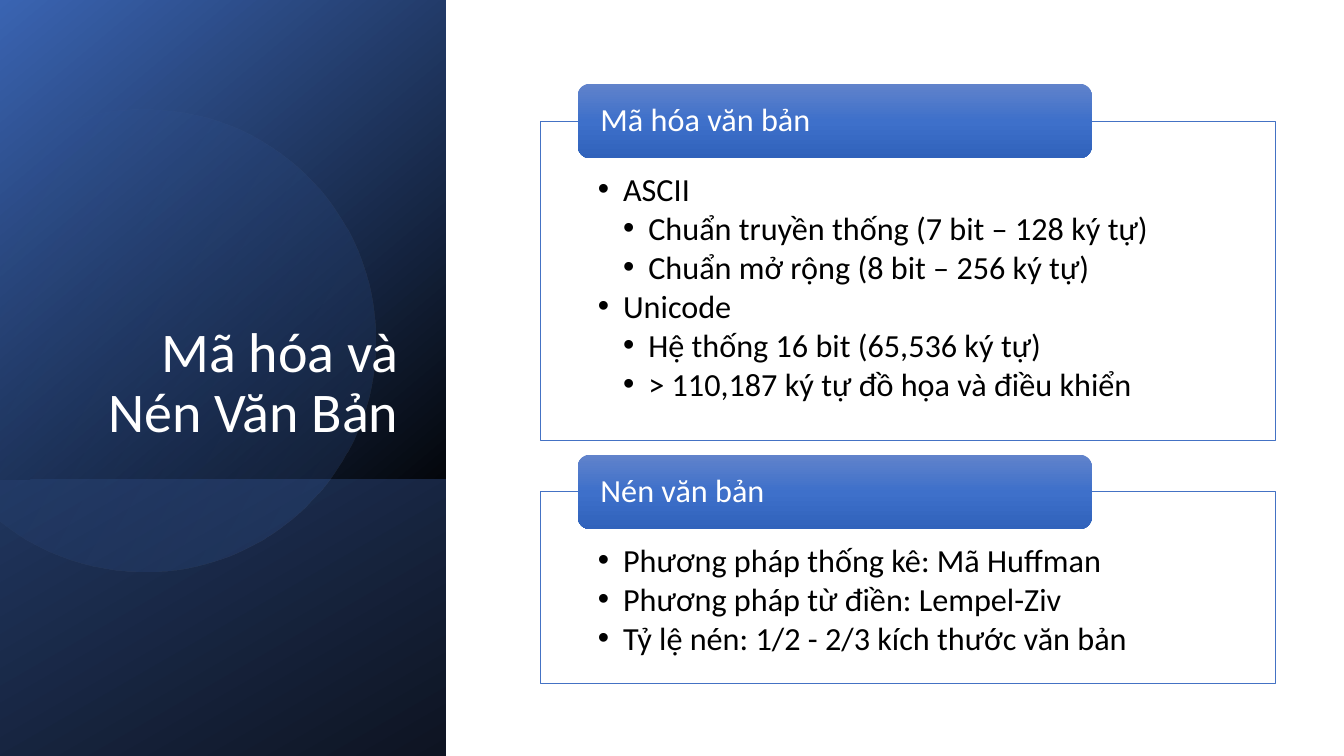
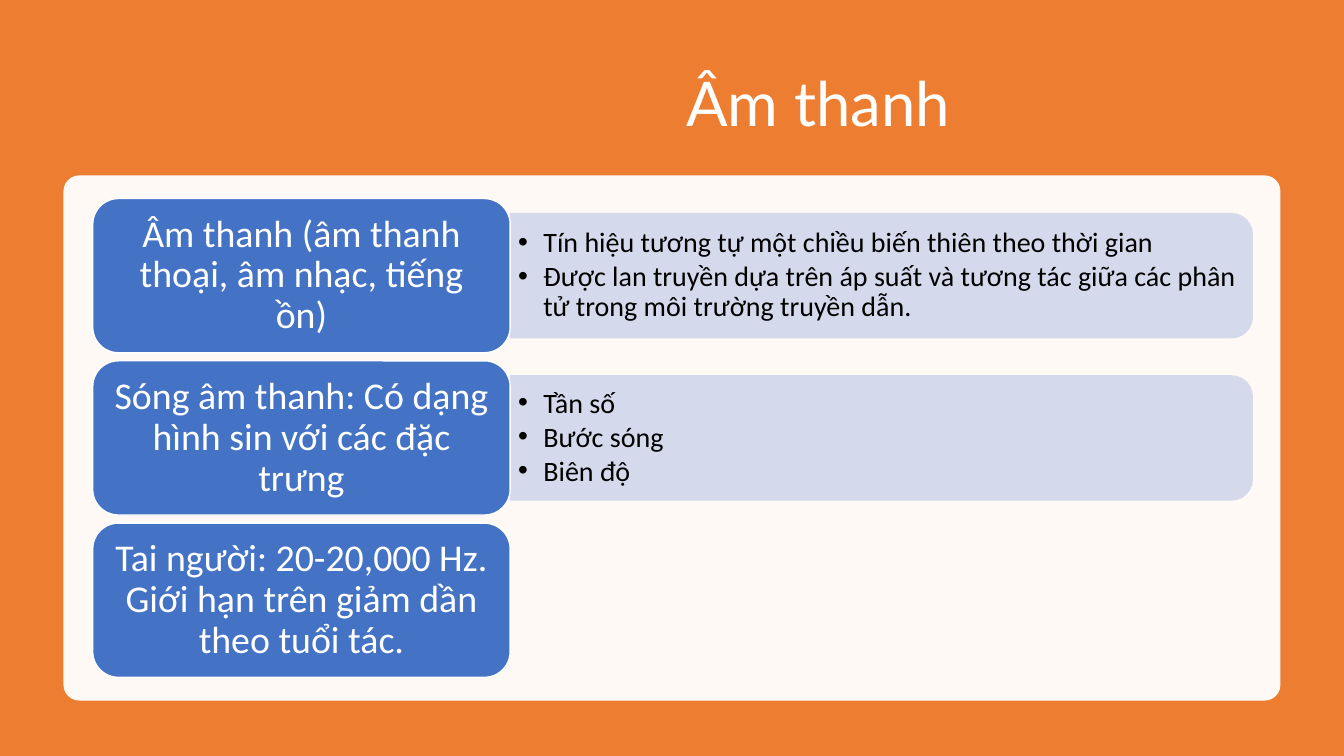
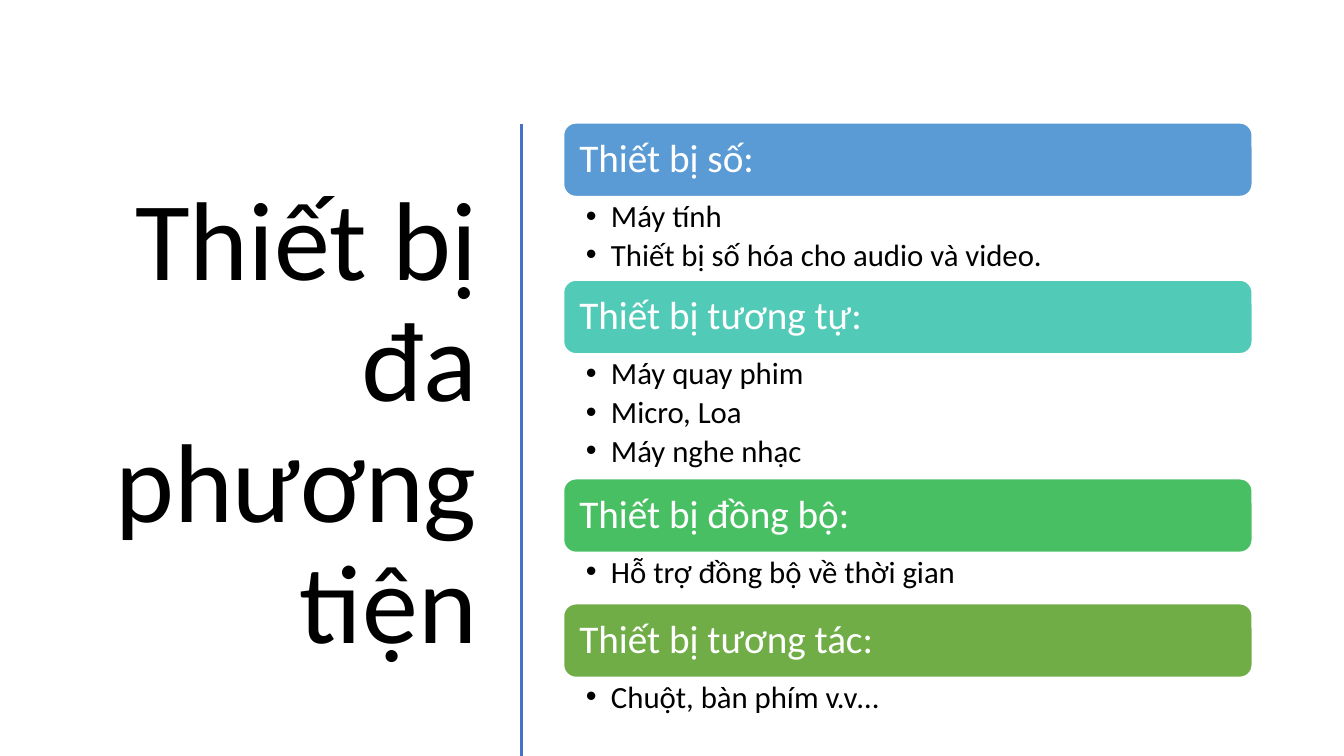
import math

from lxml import etree
from pptx import Presentation
from pptx.dml.color import RGBColor
from pptx.enum.shapes import MSO_CONNECTOR, MSO_SHAPE
from pptx.enum.text import MSO_ANCHOR, PP_ALIGN
from pptx.oxml.ns import qn
from pptx.util import Inches, Pt

RECT, ROUND = MSO_SHAPE.RECTANGLE, MSO_SHAPE.ROUNDED_RECTANGLE
ROUND_TWO = MSO_SHAPE.ROUND_2_SAME_RECTANGLE
STRAIGHT = MSO_CONNECTOR.STRAIGHT
LEFT, CENTER, RIGHT = PP_ALIGN.LEFT, PP_ALIGN.CENTER, PP_ALIGN.RIGHT
TOP, MIDDLE, BOTTOM = MSO_ANCHOR.TOP, MSO_ANCHOR.MIDDLE, MSO_ANCHOR.BOTTOM

COLORS = {
    "white": "FFFFFF", "black": "000000", "blue": "4472C4",
    "orange": "ED7D31", "cream": "FEF9F5", "pale": "D4D9EB",
    "sky": "5B9BD5", "teal": "52CAB8", "green": "49BF64", "olive": "70AD47",
    "panel_light": "3A64B2", "panel_dark": "04070C",
    "band_light": "20365F", "band_dark": "0E1422",
    "pill_top": "6183CB", "pill_middle": "3E70CA", "pill_bottom": "3062BB",
}
FONT = "Calibri"
LINE_SPACING = 0.9
BULLET_INDENT = 0.25
DEFAULT_INSETS = (0.1, 0.05, 0.1, 0.05)


def color(name):
    return RGBColor.from_string(COLORS[name])


def set_gradient(shape, stops, angle):
    """Stops are (position %, colour name, opacity %); angle is clockwise."""
    shape.fill.solid()
    solid = shape._element.spPr.find(qn("a:solidFill"))
    gradient = etree.Element(qn("a:gradFill"), rotWithShape="1")
    stop_list = etree.SubElement(gradient, qn("a:gsLst"))
    for position, name, opacity in stops:
        stop = etree.SubElement(stop_list, qn("a:gs"), pos=str(position * 1000))
        tint = etree.SubElement(stop, qn("a:srgbClr"), val=COLORS[name])
        if opacity < 100:
            etree.SubElement(tint, qn("a:alpha"), val=str(opacity * 1000))
    etree.SubElement(gradient, qn("a:lin"), ang=str(angle * 60000), scaled="0")
    solid.getparent().replace(solid, gradient)


def style_shape(shape, fill=None, line=None, line_width=1):
    shape.shadow.inherit = False
    if fill:
        shape.fill.solid()
        shape.fill.fore_color.rgb = color(fill)
    if line:
        shape.line.color.rgb = color(line)
        shape.line.width = Pt(line_width)
    else:
        shape.line.fill.background()
    return shape


def add_box(page, kind, box, **style):
    shape = page.shapes.add_shape(kind, *map(Inches, box))
    return style_shape(shape, **style)


def add_bullet(para, level):
    properties = para._p.get_or_add_pPr()
    properties.set("marL", str(Inches(BULLET_INDENT * level)))
    properties.set("indent", str(-Inches(BULLET_INDENT)))
    etree.SubElement(properties, qn("a:buFont"), typeface="Arial")
    etree.SubElement(properties, qn("a:buChar"), char="•")


def write_text(shape, lines, size, ink="black", font=FONT, align=LEFT,
               anchor=TOP, insets=DEFAULT_INSETS, space_after=0):
    """Each line is plain text, or (bullet level, text)."""
    frame = shape.text_frame
    frame.word_wrap = True
    frame.vertical_anchor = anchor
    (frame.margin_left, frame.margin_top,
     frame.margin_right, frame.margin_bottom) = map(Inches, insets)
    for index, line in enumerate(lines):
        para = frame.paragraphs[0] if index == 0 else frame.add_paragraph()
        level, text = line if isinstance(line, tuple) else (0, line)
        if level:
            add_bullet(para, level)
        para.alignment = align
        para.line_spacing = LINE_SPACING
        para.space_after = Pt(space_after)
        span = para.add_run()
        span.text = text
        span.font.name = font
        span.font.size = Pt(size)
        span.font.color.rgb = color(ink)


def add_text(page, box, lines, size, **text_format):
    write_text(page.shapes.add_textbox(*map(Inches, box)), lines, size, **text_format)


# Slide 1: title panel and framed lists
def add_title_panel(page, box, title):
    left, top, width, height = box
    split = 4.76
    upper = add_box(page, RECT, (left, top, width, split))
    set_gradient(upper, [(0, "panel_light", 100), (100, "panel_dark", 100)], 50)
    lower = add_box(page, RECT, (left, top + split, width, height - split))
    set_gradient(lower, [(0, "band_light", 100), (100, "band_dark", 100)], 60)

    # Disc cut off by the left edge of the panel
    center_x, center_y, radius = left + 1.43, top + 3.38, 2.29
    reach = math.acos((left - center_x) / radius)
    steps = 90
    points = []
    for step in range(steps + 1):
        angle = reach * (2 * step / steps - 1)
        points.append((Inches(center_x + radius * math.cos(angle)),
                       Inches(center_y + radius * math.sin(angle))))
    builder = page.shapes.build_freeform(*points[0])
    builder.add_line_segments(points[1:], close=True)
    disc = style_shape(builder.convert_to_shape())
    set_gradient(disc, [(0, "blue", 0), (100, "blue", 20)], 30)

    add_text(page, (left + 0.64, top + 1.84, 3.41, 2.62), [title], 40,
             ink="white", align=RIGHT, anchor=BOTTOM)


def add_framed_list(page, box, heading, lines):
    left, top, _, _ = box
    frame = add_box(page, RECT, box, fill="white", line="blue", line_width=0.5)
    write_text(frame, lines, 23, insets=(0.57, 0.52, 0.57, 0.18), space_after=3)
    pill = add_box(page, ROUND, (left + 0.37, top - 0.37, 5.1, 0.74))
    set_gradient(pill, [(0, "pill_top", 100), (50, "pill_middle", 100),
                        (100, "pill_bottom", 100)], 90)
    write_text(pill, [heading], 23, ink="white", anchor=MIDDLE,
               insets=(0.19, 0, 0.19, 0))


def build_text_coding(page):
    add_title_panel(page, (0, 0, 4.42, 7.5), "Mã hóa và Nén Văn Bản")
    add_framed_list(page, (5.36, 1.2, 7.29, 3.17), "Mã hóa văn bản", [
        (1, "ASCII"),
        (2, "Chuẩn truyền thống (7 bit – 128 ký tự)"),
        (2, "Chuẩn mở rộng (8 bit – 256 ký tự)"),
        (1, "Unicode"),
        (2, "Hệ thống 16 bit (65,536 ký tự)"),
        (2, "> 110,187 ký tự đồ họa và điều khiển"),
    ])
    add_framed_list(page, (5.36, 4.88, 7.29, 1.9), "Nén văn bản", [
        (1, "Phương pháp thống kê: Mã Huffman"),
        (1, "Phương pháp từ điền: Lempel-Ziv"),
        (1, "Tỷ lệ nén: 1/2 - 2/3 kích thước văn bản"),
    ])


# Slide 2: rows of a topic block and its details
def add_topic_row(page, box, topic, details):
    left, top, width, height = box
    topic_width = 4.14
    if details:
        # Turned a quarter so that the round corners face right
        band_left, band_top = left + topic_width, top + 0.15
        band_width, band_height = width - topic_width, height - 0.3
        shift = (band_width - band_height) / 2
        band = add_box(page, ROUND_TWO,
                       (band_left + shift, band_top - shift, band_height, band_width),
                       fill="pale", line="pale")
        band.rotation = 90
        add_text(page, (band_left, band_top, band_width - 0.06, band_height),
                 [(1, detail) for detail in details], 20, anchor=MIDDLE,
                 insets=(0.08, 0.04, 0.08, 0.04), space_after=2.7)
    block = add_box(page, ROUND, (left, top, topic_width, height),
                    fill="blue", line="white")
    write_text(block, [topic], 27, ink="white", align=CENTER, anchor=MIDDLE,
               insets=(0.11, 0.06, 0.11, 0.06))


def build_sound(page):
    page.background.fill.solid()
    page.background.fill.fore_color.rgb = color("orange")
    add_text(page, (3.81, 0.5, 8.61, 1.1), ["Âm thanh"], 44, ink="white",
             font="Lato", align=CENTER, anchor=MIDDLE, insets=(0, 0.01, 0, 0))
    card = add_box(page, ROUND, (0.63, 1.74, 12.07, 5.21), fill="cream")
    card.adjustments[0] = 0.03
    rows = [
        ("Âm thanh (âm thanh thoại, âm nhạc, tiếng ồn)", [
            "Tín hiệu tương tự một chiều biến thiên theo thời gian",
            "Được lan truyền dựa trên áp suất và tương tác giữa các phân tử "
            "trong môi trường truyền dẫn."]),
        ("Sóng âm thanh: Có dạng hình sin với các đặc trưng",
         ["Tần số", "Bước sóng", "Biên độ"]),
        ("Tai người: 20-20,000 Hz. Giới hạn trên giảm dần theo tuổi tác.", []),
    ]
    for index, (topic, details) in enumerate(rows):
        add_topic_row(page, (0.92, 1.97 + 1.61 * index, 11.5, 1.53), topic, details)


# Slide 3: stacked headings with lists
def add_device_section(page, box, heading, fill, items):
    left, top, width, height = box
    header_height = 0.73
    header = add_box(page, ROUND, (left, top, width, header_height),
                     fill=fill, line="white")
    write_text(header, [heading], 28, ink="white", anchor=MIDDLE,
               insets=(0.12, 0.12, 0.12, 0.12))
    add_text(page, (left, top + header_height, width, height - header_height),
             [(1, item) for item in items], 22,
             insets=(0.22, 0.04, 0.22, 0.04), space_after=4)


def build_devices(page):
    add_text(page, (0.52, 1.17, 4.31, 6.11), ["Thiết bị đa phương tiện"], 80,
             align=RIGHT, anchor=MIDDLE)
    divider = page.shapes.add_connector(
        STRAIGHT, Inches(5.17), Inches(1.23), Inches(5.17), Inches(7.5))
    divider.line.color.rgb = color("blue")
    divider.line.width = Pt(2)
    etree.SubElement(divider._element.spPr, qn("a:effectLst"))
    sections = [
        ("Thiết bị số:", "sky", 1.56,
         ["Máy tính", "Thiết bị số hóa cho audio và video."]),
        ("Thiết bị tương tự:", "teal", 1.97,
         ["Máy quay phim", "Micro, Loa", "Máy nghe nhạc"]),
        ("Thiết bị đồng bộ:", "green", 1.24, ["Hỗ trợ đồng bộ về thời gian"]),
        ("Thiết bị tương tác:", "olive", 1.24, ["Chuột, bàn phím v.v…"]),
    ]
    top = 1.22
    for heading, fill, height, items in sections:
        add_device_section(page, (5.59, top, 6.83, height), heading, fill, items)
        top += height


def main():
    deck = Presentation()
    deck.slide_width, deck.slide_height = Inches(13.33), Inches(7.5)
    blank = deck.slide_layouts[6]
    for build in (build_text_coding, build_sound, build_devices):
        build(deck.slides.add_slide(blank))
    deck.save("out.pptx")


if __name__ == "__main__":
    main()
